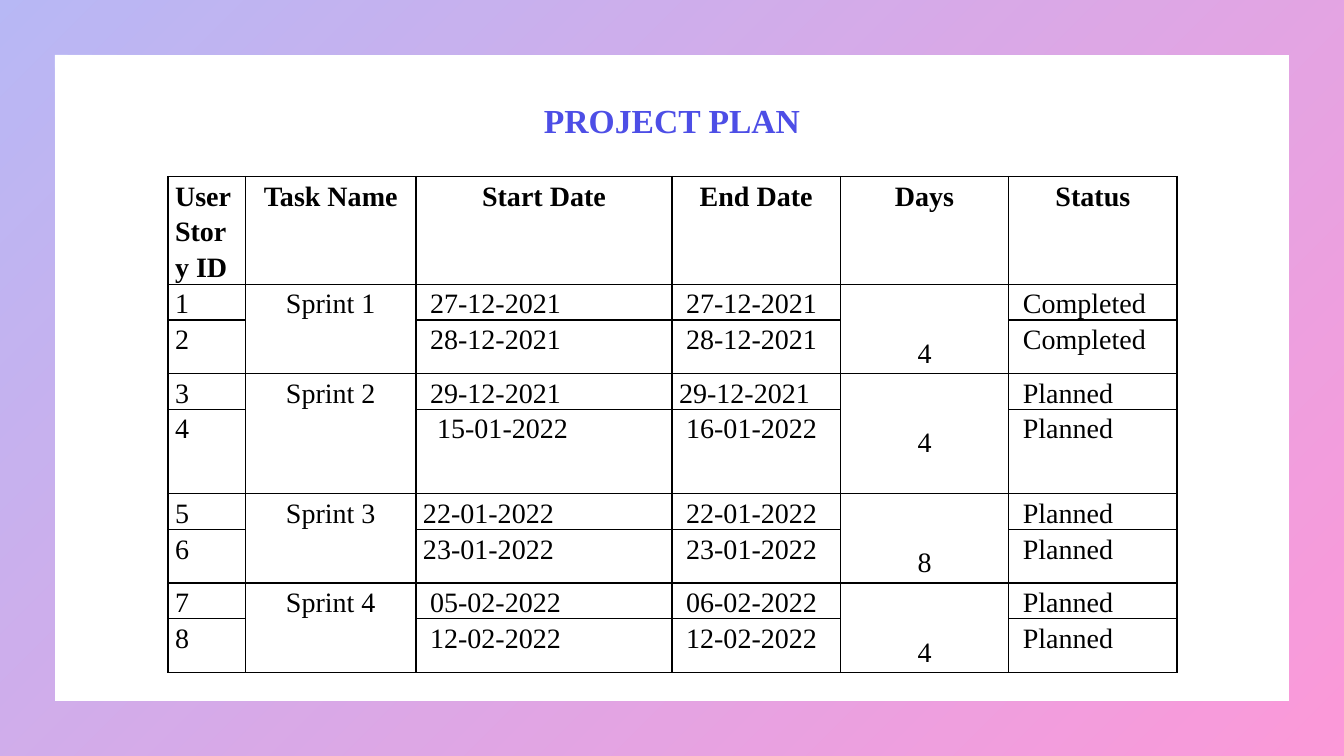
from lxml import etree
from pptx import Presentation
from pptx.dml.color import RGBColor
from pptx.enum.shapes import MSO_SHAPE
from pptx.enum.text import MSO_ANCHOR, PP_ALIGN
from pptx.oxml.ns import qn
from pptx.util import Inches, Pt

FRAME = MSO_SHAPE.FRAME
BOTTOM = MSO_ANCHOR.BOTTOM
LEFT, CENTER = PP_ALIGN.LEFT, PP_ALIGN.CENTER

COLORS = {"indigo": "4D4EE6", "pink": "F900A0", "black": "000000"}
FONT = "Times New Roman"
W, H = Inches(13.33), Inches(7.5)
INSET = 0.07  # also the width of one indent step
DAYS_DROP = 0.49

COL_WIDTHS = [0.77, 1.69, 2.54, 1.67, 1.67, 1.67]
HEADER_HEIGHT, FIRST_HEIGHT = 1.07, 0.35
HEADERS = ["User Story ID", "Task Name", "Start Date", "End Date", "Days", "Status"]
# Sprint: days, height of its second row, and two stories.
# Story: start date, its indent steps, end date, its indent steps, status.
SPRINTS = [
    ("4", 0.53, [("27-12-2021", 1, "27-12-2021", 1, "Completed"),
                 ("28-12-2021", 1, "28-12-2021", 1, "Completed")]),
    ("4", 0.84, [("29-12-2021", 1, "29-12-2021", 0, "Planned"),
                 ("15-01-2022", 2, "16-01-2022", 1, "Planned")]),
    ("8", 0.53, [("22-01-2022", 0, "22-01-2022", 1, "Planned"),
                 ("23-01-2022", 0, "23-01-2022", 1, "Planned")]),
    ("4", 0.53, [("05-02-2022", 1, "06-02-2022", 1, "Planned"),
                 ("12-02-2022", 1, "12-02-2022", 1, "Planned")]),
]


def rgb(name):
    return RGBColor.from_string(COLORS[name])


def add_run(p, text, size, color, bold=False):
    r = p.add_run()
    r.text = text
    r.font.name, r.font.size, r.font.bold = FONT, Pt(size), bold
    r.font.color.rgb = rgb(color)


def add_frame(s):
    sp = s.shapes.add_shape(FRAME, 0, 0, W, H)
    sp.adjustments[0] = 0.072
    sp.shadow.inherit = False
    sp.line.fill.background()
    sp.fill.gradient()
    sp.fill.gradient_angle = 315
    for stop, color in zip(sp.fill.gradient_stops, ("indigo", "pink")):
        stop.color.rgb = rgb(color)
    for clr in sp._element.spPr.iter(qn("a:srgbClr")):
        etree.SubElement(clr, qn("a:alpha"), val="40000")


def set_title(s, text):
    sp = s.shapes.title
    sp.left, sp.top, sp.width, sp.height = W // 8, Inches(0.8), W * 3 // 4, Inches(0.65)
    tf = sp.text_frame
    tf.vertical_anchor = BOTTOM
    p = tf.paragraphs[0]
    p.alignment, p.line_spacing = CENTER, 0.9
    add_run(p, text, 24, "indigo", True)


def set_borders(cell):
    tc_pr = cell._tc.get_or_add_tcPr()
    for i, side in enumerate(("lnL", "lnR", "lnT", "lnB")):
        ln = etree.Element(qn(f"a:{side}"), w=str(Pt(1)))
        fill = etree.SubElement(ln, qn("a:solidFill"))
        etree.SubElement(fill, qn("a:srgbClr"), val=COLORS["black"])
        tc_pr.insert(i, ln)


def style_cell(cell):
    cell.fill.background()
    set_borders(cell)
    cell.margin_left = cell.margin_right = Inches(INSET)
    cell.margin_top = cell.margin_bottom = 0


def write_cell(cell, text, align=LEFT, bold=False, steps=0, drop=0):
    """Write text, moved right by indent steps and down by drop inches."""
    cell.margin_left = Inches(INSET * (1 + steps))
    cell.margin_top = Inches(drop)
    p = cell.text_frame.paragraphs[0]
    p.alignment, p.line_spacing, p.space_after = align, 1.15, Pt(10)
    add_run(p, text, 20, "black", bold)


def write_sprint(table, number, days, stories):
    top = 2 * number - 1
    for col, text, drop in ((1, f"Sprint {number}", 0), (4, days, DAYS_DROP)):
        table.cell(top, col).merge(table.cell(top + 1, col))
        write_cell(table.cell(top, col), text, CENTER, drop=drop)
    for row, (start, start_steps, end, end_steps, status) in enumerate(stories, top):
        write_cell(table.cell(row, 0), str(row))
        write_cell(table.cell(row, 2), start, steps=start_steps)
        write_cell(table.cell(row, 3), end, steps=end_steps)
        write_cell(table.cell(row, 5), status, steps=1)


def add_plan(s):
    heights = [HEADER_HEIGHT]
    for _, second_height, _ in SPRINTS:
        heights += [FIRST_HEIGHT, second_height]
    table = s.shapes.add_table(len(heights), len(COL_WIDTHS), W // 8, Inches(1.75),
                               W * 3 // 4, Inches(sum(heights))).table
    table.first_row = table.horz_banding = False
    for col, width in zip(table.columns, COL_WIDTHS):
        col.width = Inches(width)
    for row, height in zip(table.rows, heights):
        row.height = Inches(height)
    for cell in table.iter_cells():
        style_cell(cell)
    for col, text in enumerate(HEADERS):
        write_cell(table.cell(0, col), text, CENTER if col else LEFT, bold=True)
    for number, (days, _, stories) in enumerate(SPRINTS, 1):
        write_sprint(table, number, days, stories)


def main():
    prs = Presentation()
    prs.slide_width, prs.slide_height = W, H
    s = prs.slides.add_slide(prs.slide_layouts[5])
    add_frame(s)
    set_title(s, "PROJECT PLAN")
    add_plan(s)
    prs.save("out.pptx")


if __name__ == "__main__":
    main()
